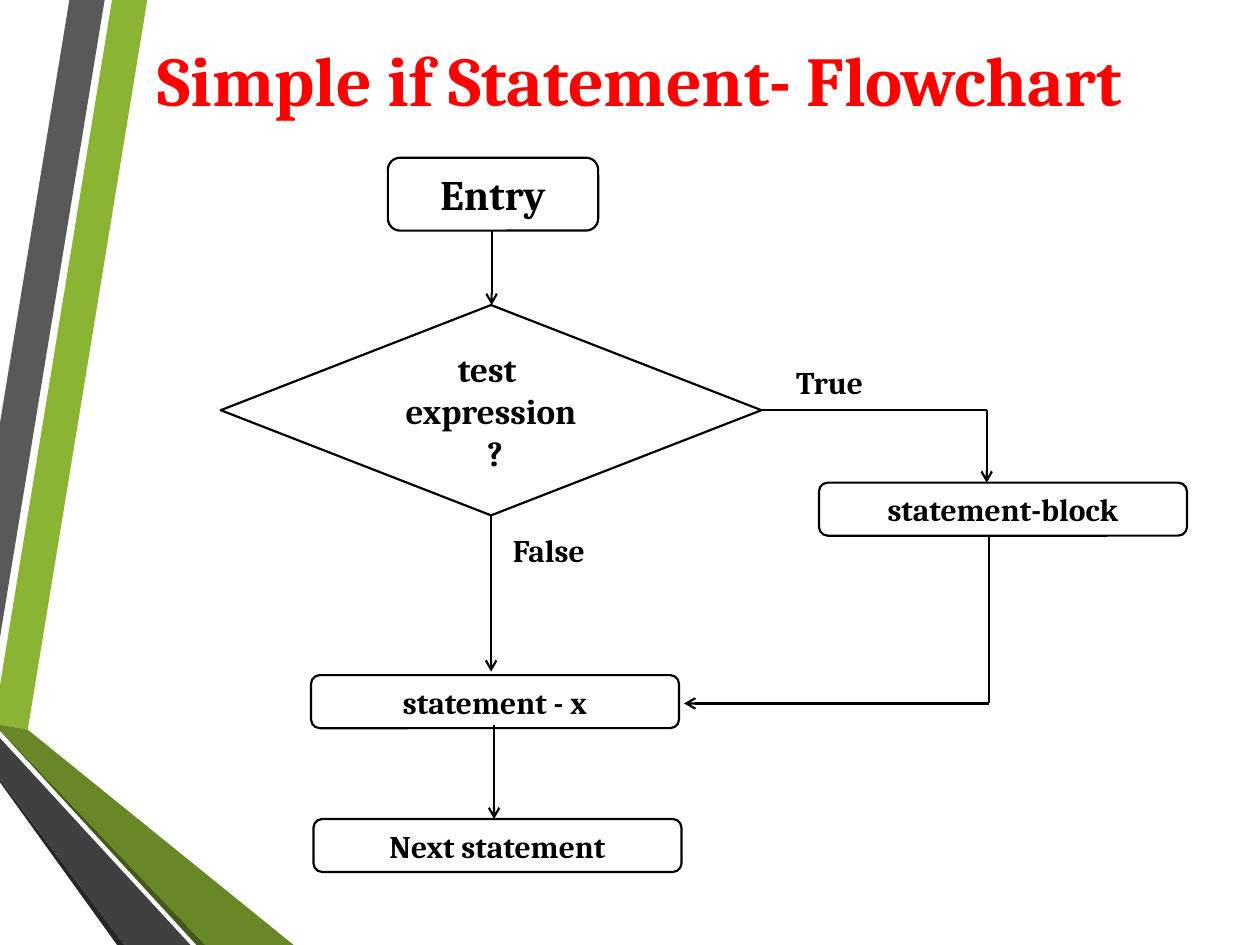
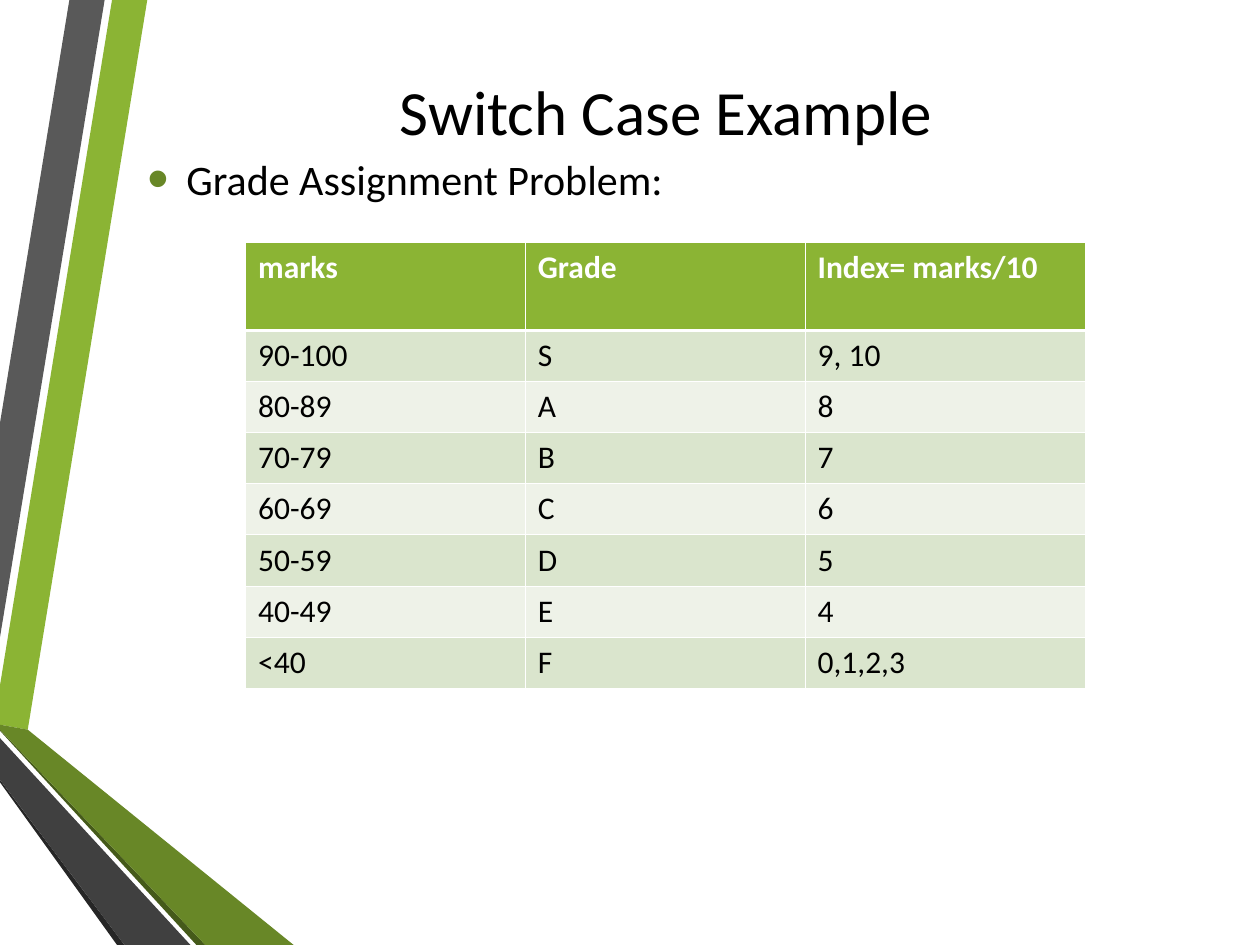
"""Build two slides on branching: an if-statement flowchart and a switch-case grade table."""
import itertools

import pptx
import pptx.dml.color
import pptx.enum.shapes
import pptx.enum.text
import pptx.oxml
import pptx.oxml.ns
import pptx.util

Cm, Pt = pptx.util.Cm, pptx.util.Pt
SHAPE = pptx.enum.shapes.MSO_SHAPE
ALIGN = pptx.enum.text.PP_ALIGN
ANCHOR = pptx.enum.text.MSO_ANCHOR
qn = pptx.oxml.ns.qn
NS = pptx.oxml.ns.nsdecls("a")

COLORS = {
    "white": "FFFFFF", "black": "000000", "red": "FF0000",
    "green": "8BB434", "leaf": "688727", "moss": "455A1A",
    "gray": "595959", "slate": "404040", "coal": "262626",
    "band": "DAE5CD", "pale": "EEF2E8",
}

RIBBONS = [
    ("green", [(0, 13.82), (0, 14.61), (0.56, 14.71), (2.97, 0), (2.26, 0)]),
    ("gray", [(2.11, 0), (1.4, 0), (0, 8.53), (0, 12.85)]),
    ("coal", [(0, 15.72), (0, 15.77), (2.36, 19.05), (2.51, 19.05)]),
    ("moss", [(0, 14.71), (0, 14.73), (3.96, 19.05), (4.14, 19.05)]),
    ("leaf", [(0, 14.71), (4.14, 19.05), (5.92, 19.05), (0.56, 14.71), (0, 14.61)]),
    ("slate", [(0, 15.72), (2.51, 19.05), (3.84, 19.05), (0, 14.88)]),
]

STATEMENT = (7.42, 1.07)
STEPS = [
    ("Entry", SHAPE.ROUNDED_RECTANGLE, (7.82, 3.18, 4.24, 1.47), 24),
    ("test \nexpression\n ?", SHAPE.DIAMOND, (4.45, 6.15, 10.9, 4.24), 20),
    ("statement - x", SHAPE.ROUNDED_RECTANGLE, (6.27, 13.61, *STATEMENT), 18),
    ("statement-block", SHAPE.ROUNDED_RECTANGLE, (16.51, 9.73, *STATEMENT), 18),
    ("Next statement", SHAPE.ROUNDED_RECTANGLE, (6.32, 16.51, *STATEMENT), 18),
]
ROUTES = [
    [(9.91, 4.65), (9.91, 6.15)],
    [(9.9, 10.36), (9.9, 13.54)],
    [(9.96, 14.61), (9.96, 16.51)],
    [(15.34, 8.26), (19.89, 8.26), (19.89, 9.73)],
    [(19.94, 10.8), (19.94, 14.18), (13.79, 14.18)],
]
BRANCH_LABELS = [
    (" True", (15.66, 7.2, 2.75, 1.03)),
    (" False", (9.95, 10.58, 2.24, 1.03)),
]

GRADES = [
    ("marks", "Grade", "Index= marks/10"),
    ("90-100", "S", "9, 10"),
    ("80-89", "A", "8"),
    ("70-79", "B", "7"),
    ("60-69", "C", "6"),
    ("50-59", "D", "5"),
    ("40-49", "E", "4"),
    ("<40", "F", "0,1,2,3"),
]
TABLE_AT = (4.95, 4.88)
COL_WIDTH, HEAD_HEIGHT, ROW_HEIGHT = 5.64, 1.78, 1.03


def rgb(name):
    return pptx.dml.color.RGBColor.from_string(COLORS[name])


def paint(s, fill, line=None):
    s.shadow.inherit = False
    s.fill.solid()
    s.fill.fore_color.rgb = rgb(fill)
    if line:
        s.line.color.rgb = rgb(line)
        s.line.width = Pt(1.25)
    else:
        s.line.fill.background()


def write(tf, text, size, font, color="black", bold=False, align=ALIGN.CENTER):
    tf.text = text
    for p in tf.paragraphs:
        p.alignment = align
        for r in p.runs:
            r.font.size, r.font.name, r.font.bold = Pt(size), font, bold
            r.font.color.rgb = rgb(color)


def add_text(s, box, text, *style, anchor=ANCHOR.MIDDLE, **options):
    tf = s.shapes.add_textbox(*map(Cm, box)).text_frame
    tf.word_wrap = True
    tf.vertical_anchor = anchor
    write(tf, text, *style, **options)
    return tf


def add_slide(prs, title, box, *style, **options):
    s = prs.slides.add_slide(prs.slide_layouts[6])
    for color, points in RIBBONS:
        start, *rest = [(Cm(x), Cm(y)) for x, y in points]
        builder = s.shapes.build_freeform(*start)
        builder.add_line_segments(rest)
        paint(builder.convert_to_shape(), color)
    add_text(s, box, title, *style, **options)
    return s


def add_route(s, points):
    for start, end in itertools.pairwise(points):
        line = s.shapes.add_connector(
            pptx.enum.shapes.MSO_CONNECTOR.STRAIGHT, *map(Cm, start + end))
        line.line.color.rgb = rgb("black")
        line.line.width = Pt(1.25)
        if end == points[-1]:
            line.line._get_or_add_ln().append(
                pptx.oxml.parse_xml(f'<a:tailEnd {NS} type="arrow"/>'))
        line._element.spPr.append(pptx.oxml.parse_xml(f"<a:effectLst {NS}/>"))


def add_bullet(p):
    pPr = p._p.get_or_add_pPr()
    pPr.set("marL", str(Cm(0.79)))
    pPr.set("indent", str(-Cm(0.79)))
    for xml in (f'<a:buClr {NS}><a:srgbClr val="{COLORS["leaf"]}"/></a:buClr>',
                f'<a:buSzPct {NS} val="145000"/>',
                f'<a:buFont {NS} typeface="Arial"/>',
                f'<a:buChar {NS} char="•"/>'):
        pPr.append(pptx.oxml.parse_xml(xml))


def set_borders(cell, widths):
    tcPr = cell._tc.get_or_add_tcPr()
    for i, (side, width) in enumerate(widths.items()):
        tcPr.insert(i, pptx.oxml.parse_xml(
            f'<a:ln{side} {NS} w="{Pt(width)}"><a:solidFill>'
            f'<a:srgbClr val="{COLORS["white"]}"/></a:solidFill></a:ln{side}>'))


def add_grades(s):
    n_rows, n_cols = len(GRADES), len(GRADES[0])
    height = HEAD_HEIGHT + ROW_HEIGHT * (n_rows - 1)
    table = s.shapes.add_table(
        n_rows, n_cols, *map(Cm, (*TABLE_AT, COL_WIDTH * n_cols, height))).table
    for col in table.columns:
        col.width = Cm(COL_WIDTH)
    for i, values in enumerate(GRADES):
        head = i == 0
        table.rows[i].height = Cm(HEAD_HEIGHT if head else ROW_HEIGHT)
        fill = "green" if head else ("pale", "band")[i % 2]
        for j, value in enumerate(values):
            cell = table.cell(i, j)
            cell.fill.solid()
            cell.fill.fore_color.rgb = rgb(fill)
            write(cell.text_frame, value, 18, "Calibri",
                  "white" if head else "black", head, ALIGN.LEFT)
            set_borders(cell, {"L": 0.45, "R": 0.45,
                               "T": 1.47 if i == 1 else 0.45,
                               "B": 1.47 if head else 0.45})


def build_flowchart(prs):
    s = add_slide(prs, "Simple if Statement- Flowchart", (1.47, 0, 22.86, 3.18),
                  40, "Cambria", "red", bold=True)
    for text, kind, box, size in STEPS:
        sp = s.shapes.add_shape(kind, *map(Cm, box))
        paint(sp, "white", "black")
        write(sp.text_frame, text, size, "Cambria", bold=True)
        sp.text_frame.vertical_anchor = ANCHOR.MIDDLE
    for points in ROUTES:
        add_route(s, points)
    for text, box in BRANCH_LABELS:
        add_text(s, box, text, 18, "Cambria", bold=True, align=ALIGN.LEFT,
                 anchor=ANCHOR.TOP)


def build_grade_table(prs):
    s = add_slide(prs, "Switch Case Example", (2.72, 1.27, 21.41, 1.9), 36, "Calibri")
    tf = add_text(s, (2.72, 2.97, 21.41, 1.27), "Grade Assignment Problem:",
                  24, "Calibri", align=ALIGN.LEFT)
    add_bullet(tf.paragraphs[0])
    add_grades(s)


def main():
    prs = pptx.Presentation()
    prs.slide_width, prs.slide_height = Cm(25.4), Cm(19.05)
    build_flowchart(prs)
    build_grade_table(prs)
    prs.save("out.pptx")


if __name__ == "__main__":
    main()
